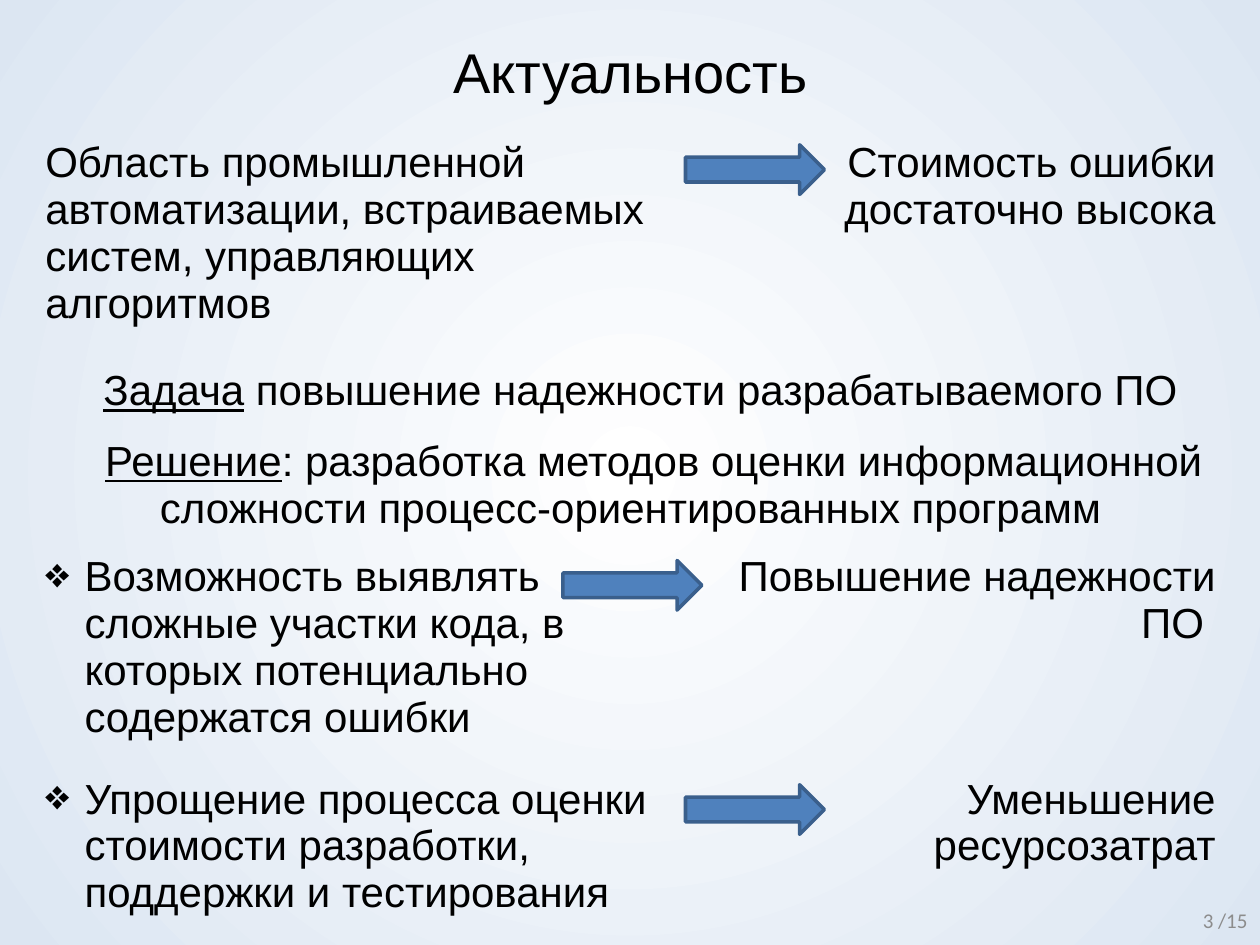
from lxml import etree
from pptx import Presentation
from pptx.dml.color import RGBColor
from pptx.enum import shapes, text
from pptx.oxml.ns import qn
from pptx.util import Cm, Pt

BLACK = RGBColor(0x00, 0x00, 0x00)
GRAY = RGBColor(0x8C, 0x8C, 0x8C)
WHITE = RGBColor(0xFF, 0xFF, 0xFF)
PALE_BLUE = RGBColor(0xDC, 0xE6, 0xF2)
BLUE = RGBColor(0x4F, 0x81, 0xBD)
DARK_BLUE = RGBColor(0x3A, 0x5F, 0x8C)
PLAIN_TABLE_STYLE = "{2D5ABB26-0587-4C30-8999-92F81FD0307C}"
LEFT, CENTER, RIGHT = text.PP_ALIGN.LEFT, text.PP_ALIGN.CENTER, text.PP_ALIGN.RIGHT

COLUMN_WIDTHS = (13.65, 10.45)
ROW_HEIGHTS = (4.6, 1.42, 2.33, 4.48, 3.43)
COMPARISONS = {
    0: ("Область промышленной автоматизации, встраиваемых систем, управляющих алгоритмов",
        "Стоимость ошибки достаточно высока"),
    3: ("Возможность выявлять сложные участки кода, в которых потенциально содержатся ошибки",
        "Повышение надежности ПО "),
    4: ("Упрощение процесса оценки стоимости разработки, поддержки и тестирования",
        "Уменьшение ресурсозатрат"),
}
STATEMENTS = {
    1: ("Задача", " повышение надежности разрабатываемого ПО", LEFT, 1.17),
    2: ("Решение", ": разработка методов оценки информационной сложности "
        "процесс-ориентированных программ", CENTER, 0.94),
}
ARROWS = ((13.82, 2.92), (11.35, 11.3), (13.82, 15.82))


def style_run(run, size, color=BLACK, font="Arial"):
    """Set the font of a run."""
    run.font.size = Pt(size)
    run.font.name = font
    run.font.color.rgb = color


def set_background(slide):
    """Fill the slide with a radial gradient, white in the middle."""
    fill = slide.background.fill
    fill.gradient()
    for stop, color, position in zip(fill.gradient_stops, (WHITE, PALE_BLUE), (0, 1)):
        stop.color.rgb = color
        stop.position = position
    gradient = slide.background._cSld.find(".//" + qn("a:gradFill"))
    gradient.remove(gradient.find(qn("a:lin")))
    circle = etree.SubElement(gradient, qn("a:path"), path="circle")
    etree.SubElement(circle, qn("a:fillToRect"), l="50000", t="50000", r="50000", b="50000")


def add_label(slide, box, content, alignment, **font):
    """Add a one-line text box."""
    frame = slide.shapes.add_textbox(*map(Cm, box)).text_frame
    frame.word_wrap = True
    frame.vertical_anchor = text.MSO_ANCHOR.MIDDLE
    frame.text = content
    paragraph = frame.paragraphs[0]
    paragraph.alignment = alignment
    style_run(paragraph.runs[0], **font)


def add_arrow(slide, left, top):
    """Add a block arrow pointing right."""
    arrow = slide.shapes.add_shape(
        shapes.MSO_SHAPE.RIGHT_ARROW, Cm(left), Cm(top), Cm(2.8), Cm(1))
    arrow.shadow.inherit = False
    arrow.fill.solid()
    arrow.fill.fore_color.rgb = BLUE
    arrow.line.color.rgb = DARK_BLUE
    arrow.line.width = Pt(2)


def fill_cell(cell, parts, alignment):
    """Write the parts as runs of one paragraph and return it."""
    paragraph = cell.text_frame.paragraphs[0]
    paragraph.alignment = alignment
    for part in parts:
        run = paragraph.add_run()
        run.text = part
        style_run(run, 24)
    return paragraph


def set_indent(paragraph, margin, indent):
    """Set the left margin and the first-line indent, and return the properties."""
    properties = paragraph._p.get_or_add_pPr()
    properties.set("marL", str(Cm(margin)))
    properties.set("indent", str(Cm(indent)))
    return properties


def add_bullet(paragraph):
    """Give the paragraph a hanging diamond bullet."""
    properties = set_indent(paragraph, 0.79, -0.79)
    etree.SubElement(properties, qn("a:buChar"), char="❖")


def add_relevance_table(slide):
    """Add the table of causes, effects and statements."""
    frame = slide.shapes.add_table(
        len(ROW_HEIGHTS), len(COLUMN_WIDTHS), Cm(0.66), Cm(2.69),
        Cm(sum(COLUMN_WIDTHS)), Cm(sum(ROW_HEIGHTS)))
    table = frame.table
    table.first_row = table.horz_banding = False
    table._tbl.tblPr.find(qn("a:tableStyleId")).text = PLAIN_TABLE_STYLE
    for column, width in zip(table.columns, COLUMN_WIDTHS):
        column.width = Cm(width)
    for row, height in zip(table.rows, ROW_HEIGHTS):
        row.height = Cm(height)
    for cell in table.iter_cells():
        cell.fill.background()
    for row, (cause, effect) in COMPARISONS.items():
        paragraph = fill_cell(table.cell(row, 0), [cause], LEFT)
        if row > 0:
            add_bullet(paragraph)
        fill_cell(table.cell(row, 1), [effect], RIGHT)
    for row, (term, rest, alignment, indent) in STATEMENTS.items():
        cell = table.cell(row, 0)
        cell.merge(table.cell(row, 1))
        paragraph = fill_cell(cell, [term, rest], alignment)
        paragraph.runs[0].font.underline = True
        set_indent(paragraph, 0, indent)


def main():
    """Build the slide and save it."""
    presentation = Presentation()
    presentation.slide_width, presentation.slide_height = Cm(25.4), Cm(19.05)
    slide = presentation.slides.add_slide(presentation.slide_layouts[6])
    set_background(slide)
    add_label(slide, (1.3, 0.33, 22.83, 2.21), "Актуальность", CENTER, size=32)
    add_relevance_table(slide)
    for left, top in ARROWS:
        add_arrow(slide, left, top)
    add_label(slide, (19.48, 18.03, 5.92, 1.02), "3 /15", RIGHT,
              size=12, color=GRAY, font="Calibri")
    presentation.save("out.pptx")


if __name__ == "__main__":
    main()
